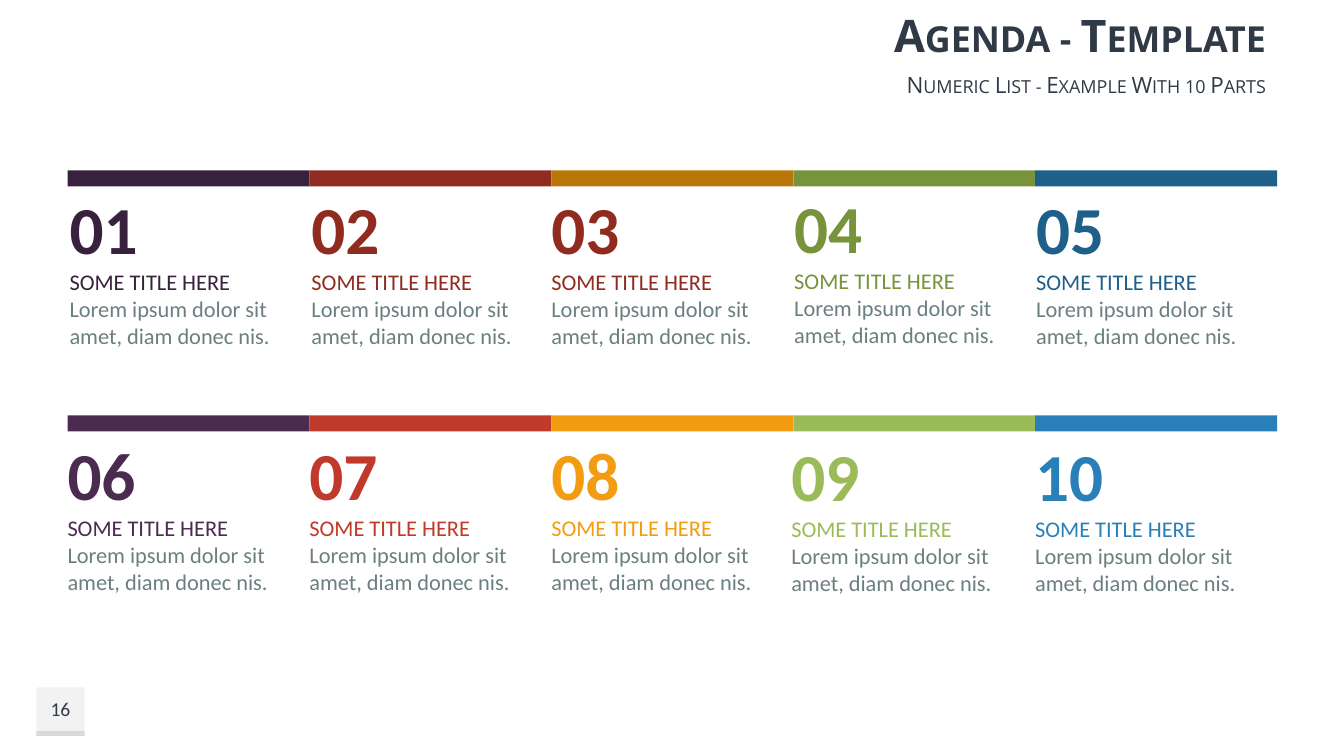
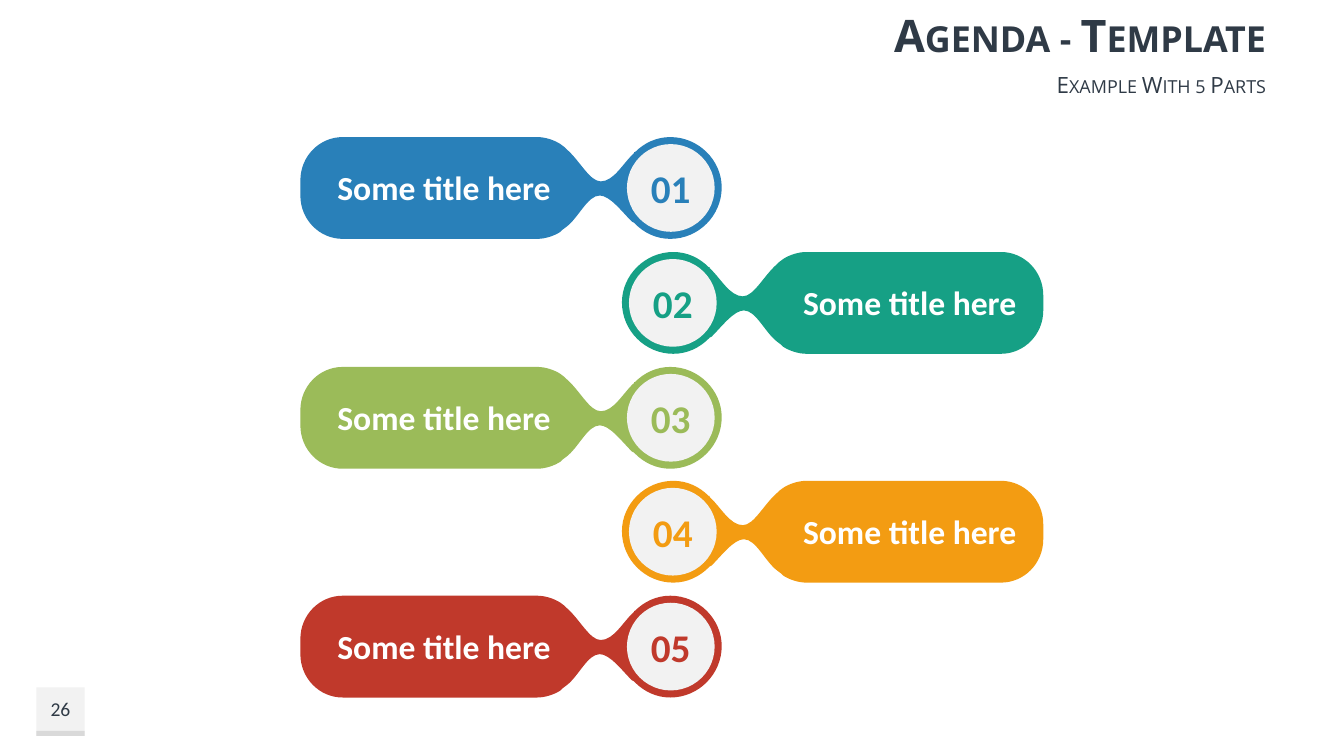
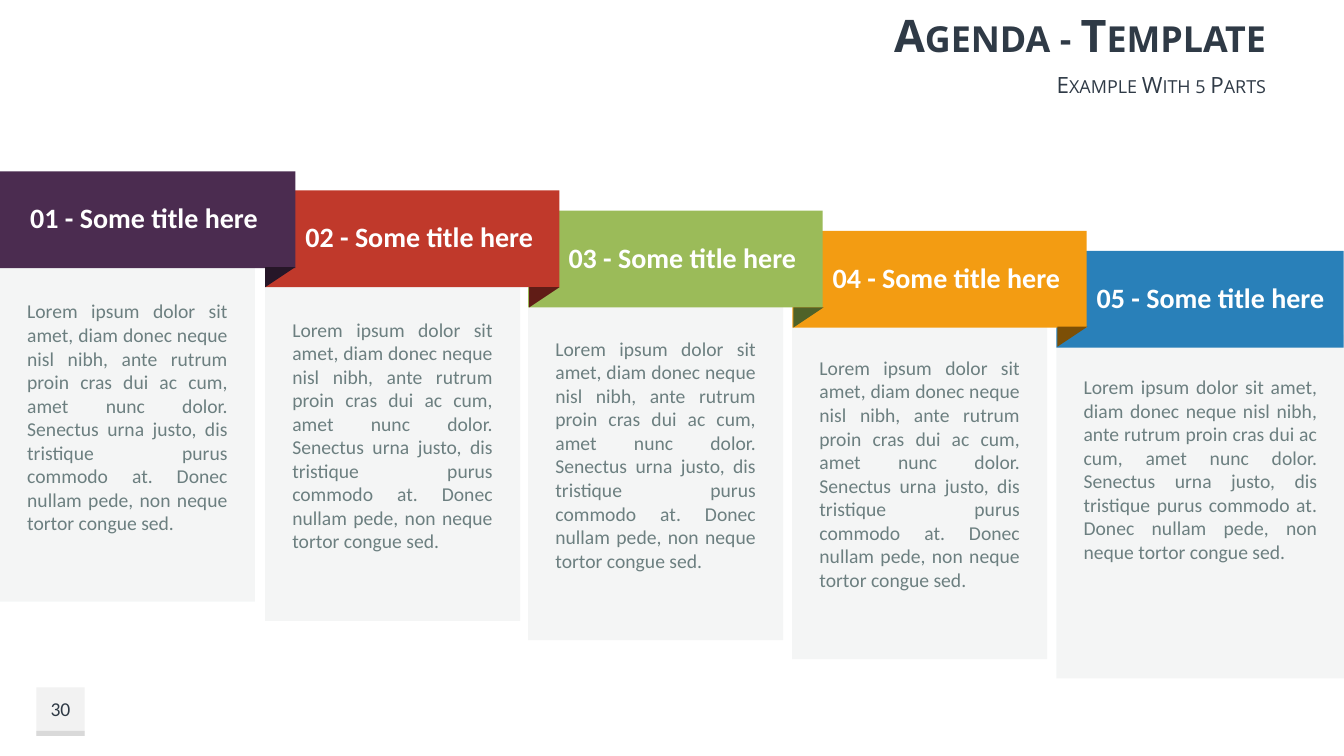
from dataclasses import dataclass

from lxml import etree
from pptx import Presentation
from pptx.dml.color import RGBColor
from pptx.enum.shapes import MSO_SHAPE
from pptx.enum.text import MSO_ANCHOR, MSO_AUTO_SIZE, PP_ALIGN
from pptx.oxml.ns import qn
from pptx.util import Emu, Pt

RECT, OVAL, TRIANGLE = MSO_SHAPE.RECTANGLE, MSO_SHAPE.OVAL, MSO_SHAPE.RIGHT_TRIANGLE
TOP, MIDDLE = MSO_ANCHOR.TOP, MSO_ANCHOR.MIDDLE
LEFT, CENTER, RIGHT, JUSTIFY = PP_ALIGN.LEFT, PP_ALIGN.CENTER, PP_ALIGN.RIGHT, PP_ALIGN.JUSTIFY
FIXED, GROW = MSO_AUTO_SIZE.NONE, MSO_AUTO_SIZE.SHAPE_TO_FIT_TEXT


@dataclass(frozen=True)
class Theme:
    body_font: str = "Calibri"
    head_font: str = "Open Sans"
    ink: str = "2F3A46"
    grey: str = "6C7F80"
    white: str = "FFFFFF"
    light: str = "F2F2F2"
    edge: str = "D9D9D9"
    panel: str = "95A5A6"
    panel_alpha: int = 10
    purple: str = "4B2C50"
    red: str = "C0392B"
    orange: str = "F39C12"
    green: str = "9BBB59"
    blue: str = "2980B9"
    teal: str = "16A085"
    dark_purple: str = "38213C"
    dark_red: str = "902B20"
    dark_orange: str = "BA7609"
    dark_green: str = "77933C"
    dark_blue: str = "1F608B"
    fold_purple: str = "261628"
    fold_red: str = "601C16"
    fold_green: str = "4F6228"
    fold_orange: str = "7C4F06"
    title_pt: int = 32
    subtitle_pt: int = 16
    page_pt: int = 14
    number_pt: int = 48
    item_pt: int = 16
    badge_pt: int = 28
    label_pt: int = 24
    banner_pt: int = 20
    panel_pt: int = 14


T = Theme()
PX = 9144
SLIDE_SIZE = (Emu(12192000), Emu(6858000))
DEFAULT_INSETS = (10, 5, 10, 5)

TITLE = "Agenda - Template"
ITEM_TITLE = "SOME TITLE HERE"
ITEM_TEXT = "Lorem ipsum dolor sit amet, diam donec nis."
LABEL = "Some title here"
PANEL_TEXT = (
    "Lorem ipsum dolor sit amet, diam donec neque nisl nibh, ante rutrum proin "
    "cras dui ac cum, amet nunc dolor. Senectus urna justo, dis tristique purus "
    "commodo at. Donec nullam pede, non neque tortor congue sed."
)

NUMBER_ROWS = [
    {"bar_y": 169, "text_h": 199, "items": [
        ("01", T.dark_purple, T.dark_purple, (69, 186, 237)),
        ("02", T.dark_red, T.dark_red, (309, 186, 238)),
        ("03", T.dark_orange, T.dark_red, (547, 186, 238)),
        ("04", T.dark_green, T.dark_green, (788, 185, 240)),
        ("05", T.dark_blue, T.dark_blue, (1028, 186, 238)),
    ]},
    {"bar_y": 412, "text_h": 232, "items": [
        ("06", T.purple, T.purple, (67, 430, 240)),
        ("07", T.red, T.red, (307, 430, 240)),
        ("08", T.orange, T.orange, (547, 430, 240)),
        ("09", T.green, T.green, (785, 431, 242)),
        ("10", T.blue, T.blue, (1027, 431, 240)),
    ]},
]

PILLS = [("01", T.blue), ("02", T.teal), ("03", T.green), ("04", T.orange), ("05", T.red)]
PILL_W = 418
PILL_SIDES = [
    {"x": 298, "badge_dx": 324, "label_dx": 16, "mirror": True},
    {"x": 617, "badge_dx": 7, "label_dx": 159, "mirror": False},
]
PILL_START = (51, 0)
PILL_OUTLINE = [
    [(65, 0), (77, 6), (86, 15)], [(87, 15)], [(87, 16)],
    [(98, 26), (107, 44), (120, 44)], [(131, 44), (141, 23), (154, 12)],
    [(156, 10)], [(160, 7)],
    [(166, 3), (175, 0), (183, 0)], [(376, 0)],
    [(399, 0), (418, 19), (418, 43)], [(418, 58)],
    [(418, 82), (399, 101), (376, 101)], [(183, 101)],
    [(175, 101), (166, 98), (160, 94)], [(158, 92)], [(154, 89)],
    [(142, 80), (133, 58), (121, 58)], [(111, 58), (99, 74), (89, 84)],
    [(87, 85)], [(86, 86)],
    [(77, 95), (65, 101), (51, 101)], [(23, 101), (0, 78), (0, 50)],
    [(0, 23), (23, 0), (51, 0)],
]

BANNERS = [
    {"number": "01", "color": T.purple, "inset": 30,
     "banner": (0, 170, 293, 96), "panel": (0, 257, 253, 340)},
    {"number": "02", "color": T.red, "inset": 40,
     "banner": (263, 189, 292, 96), "panel": (263, 275, 253, 341)},
    {"number": "03", "color": T.green, "inset": 40,
     "banner": (524, 209, 292, 96), "panel": (524, 294, 253, 341)},
    {"number": "04", "color": T.orange, "inset": 40,
     "banner": (786, 229, 292, 96), "panel": (786, 313, 253, 341)},
    {"number": "05", "color": T.blue, "inset": 40,
     "banner": (1048, 249, 285, 96), "panel": (1048, 332, 286, 341)},
]
FOLDS = [
    (268, 260, T.fold_purple),
    (530, 280, T.fold_red),
    (792, 300, T.fold_green),
    (1054, 319, T.fold_orange),
]


def emu(*lengths):
    return [Emu(n * PX) for n in lengths]


def paint(sp, color, alpha=None):
    sp.shadow.inherit = False
    sp.fill.solid()
    sp.fill.fore_color.rgb = RGBColor.from_string(color)
    sp.line.fill.background()
    if alpha is not None:
        clr = sp._element.spPr.find(qn("a:solidFill")).find(qn("a:srgbClr"))
        etree.SubElement(clr, qn("a:alpha"), val=str(alpha * 1000))
    return sp


def add_shape(s, kind, box, color, alpha=None):
    return paint(s.shapes.add_shape(kind, *emu(*box)), color, alpha)


def add_text(s, box):
    return s.shapes.add_textbox(*emu(*box))


def write(sp, lines, align=LEFT, anchor=TOP, insets=DEFAULT_INSETS,
          font=T.body_font, small_caps=False, fit=FIXED):
    tf = sp.text_frame
    tf.word_wrap = True
    tf.auto_size = fit
    tf.vertical_anchor = anchor
    tf.margin_left, tf.margin_top, tf.margin_right, tf.margin_bottom = emu(*insets)
    for i, (text, size, color, bold) in enumerate(lines):
        p = tf.add_paragraph() if i else tf.paragraphs[0]
        p.alignment = align
        r = p.add_run()
        r.text = text
        r.font.name = font
        r.font.size = Pt(size)
        r.font.bold = bold
        r.font.color.rgb = RGBColor.from_string(color)
        if small_caps:
            r._r.get_or_add_rPr().set("cap", "small")
    return tf


def new_slide(prs, subtitle, page):
    s = prs.slides.add_slide(prs.slide_layouts[5])
    add_shape(s, RECT, (36, 682, 48, 48), T.light)
    add_shape(s, RECT, (36, 725, 48, 5), T.edge)
    title = s.shapes.title
    title.left, title.top, title.width, title.height = emu(425, 0, 841, 68)
    head = {"align": RIGHT, "anchor": MIDDLE, "font": T.head_font, "small_caps": True}
    write(title, [(TITLE, T.title_pt, T.ink, True)], **head)
    write(add_text(s, (425, 68, 841, 31)),
          [(subtitle, T.subtitle_pt, T.ink, False)], **head)
    write(add_text(s, (36, 682, 48, 43)),
          [(page, T.page_pt, T.ink, False)], CENTER, MIDDLE)
    return s


def build_numeric_list(prs):
    s = new_slide(prs, "Numeric List - Example With 10 Parts", "16")
    left, col_w = 67, 240
    for row in NUMBER_ROWS:
        for i, (number, bar_color, text_color, (x, y, w)) in enumerate(row["items"]):
            add_shape(s, RECT, (left + i * col_w, row["bar_y"], col_w, 16), bar_color)
            write(add_text(s, (x, y, w, row["text_h"])), [
                (number, T.number_pt, text_color, True),
                (ITEM_TITLE, T.item_pt, text_color, False),
                (ITEM_TEXT, T.item_pt, T.grey, False),
            ], insets=(0, 0, 13, 0))


def add_pill(s, x, y, mirror, color):
    def place(point):
        px, py = point
        return emu(x + (PILL_W - px if mirror else px), y + py)

    builder = s.shapes.build_freeform(*place(PILL_START), scale=1.0)
    builder.add_line_segments([place(pt) for seg in PILL_OUTLINE for pt in seg], close=True)
    sp = paint(builder.convert_to_shape(), color)
    steps = iter(list(sp._element.spPr.iter(qn("a:lnTo"))))
    for seg in PILL_OUTLINE:
        lines = [next(steps) for _ in seg]
        if len(lines) == 3:
            curve = etree.Element(qn("a:cubicBezTo"))
            lines[0].addprevious(curve)
            for line in lines:
                curve.append(line[0])
                line.getparent().remove(line)


def build_pills(prs):
    s = new_slide(prs, "Example With 5 Parts", "26")
    top, bottom = 136, 591
    for i, (number, color) in enumerate(PILLS):
        side = PILL_SIDES[i % 2]
        x = side["x"]
        y = round(top + (bottom - top) * i / (len(PILLS) - 1))
        add_pill(s, x, y, side["mirror"], color)
        badge = add_shape(s, OVAL, (x + side["badge_dx"], y + 7, 87, 87), T.light)
        write(badge, [(number, T.badge_pt, color, True)], CENTER, MIDDLE)
        write(add_text(s, (x + side["label_dx"], y + 25, 253, 50)),
              [(LABEL, T.label_pt, T.white, True)], CENTER, MIDDLE, fit=GROW)


def build_banners(prs):
    s = new_slide(prs, "Example With 5 Parts", "30")
    for item in reversed(BANNERS):
        panel = add_shape(s, RECT, item["panel"], T.panel, T.panel_alpha)
        write(panel, [(PANEL_TEXT, T.panel_pt, T.grey, False)], JUSTIFY,
              insets=(27, 40, 27, 27))
        banner = add_shape(s, RECT, item["banner"], item["color"])
        tf = write(banner, [(f"{item['number']} - {LABEL}", T.banner_pt, T.white, True)],
                   anchor=MIDDLE, insets=(item["inset"], 0, 0, 0))
        tf.paragraphs[0].line_spacing = 0.9
        tf.paragraphs[0].space_after = Pt(2.7)
    for x, y, color in FOLDS:
        add_shape(s, TRIANGLE, (x, y, 20, 30), color).rotation = 90


def main():
    prs = Presentation()
    prs.slide_width, prs.slide_height = SLIDE_SIZE
    build_numeric_list(prs)
    build_pills(prs)
    build_banners(prs)
    prs.save("out.pptx")


if __name__ == "__main__":
    main()
